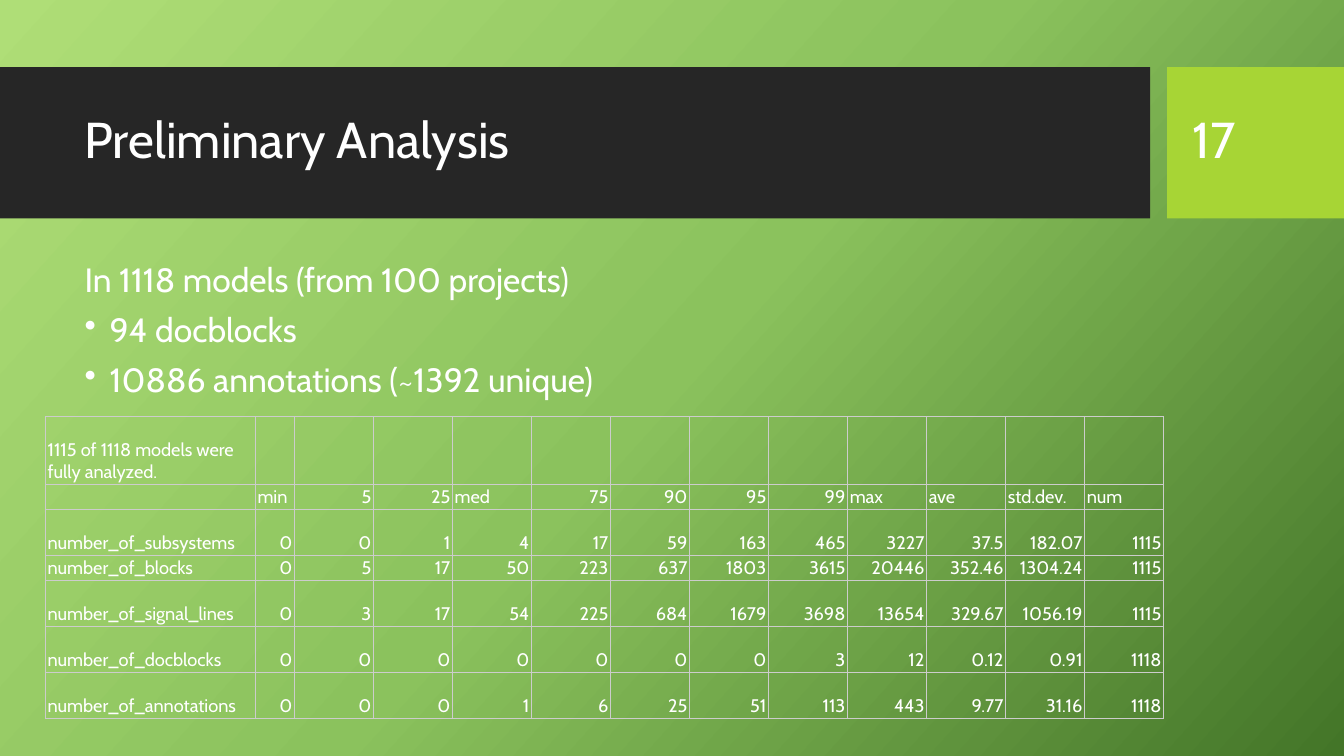
from lxml.etree import SubElement
from pptx import Presentation
from pptx.dml.color import RGBColor
from pptx.enum.shapes import MSO_SHAPE
from pptx.enum.text import MSO_ANCHOR, PP_ALIGN
from pptx.oxml.ns import qn
from pptx.util import Pt

FONT = "Cabin"
WHITE = "FFFFFF"
BODY = [
    ("In 1118 models (from 100 projects)", False),
    ("94 docblocks", True),
    ("10886 annotations (~1392 unique)", True),
]
COLUMN_WIDTHS = [150, 28] + [56.45] * 11
ROW_HEIGHTS = [48.5, 17.75, 33, 17.75, 33, 33, 33]
STATISTICS = [
    ["1115 of 1118 models were fully analyzed."] + [""] * 12,
    ["", "min", "5", "25", "med", "75", "90", "95", "99", "max", "ave", "std.dev.", "num"],
    ["number_of_subsystems", "0", "0", "1", "4", "17", "59", "163", "465", "3227", "37.5", "182.07", "1115"],
    ["number_of_blocks", "0", "5", "17", "50", "223", "637", "1803", "3615", "20446", "352.46", "1304.24", "1115"],
    ["number_of_signal_lines", "0", "3", "17", "54", "225", "684", "1679", "3698", "13654", "329.67", "1056.19", "1115"],
    ["number_of_docblocks", "0", "0", "0", "0", "0", "0", "0", "3", "12", "0.12", "0.91", "1118"],
    ["number_of_annotations", "0", "0", "0", "1", "6", "25", "51", "113", "443", "9.77", "31.16", "1118"],
]


def color(value):
    return RGBColor.from_string(value)


def style_font(font, size):
    font.name = FONT
    font.size = Pt(size)
    font.color.rgb = color(WHITE)


def paint_background(slide, stops, angle):
    fill = slide.background.fill
    fill.gradient()
    fill.gradient_angle = 360 - angle
    stop_list = slide.element.find(".//" + qn("a:gsLst"))
    for stop in list(stop_list):
        stop_list.remove(stop)
    for position, value in stops:
        stop = SubElement(stop_list, qn("a:gs"), pos=str(position * 1000))
        SubElement(stop, qn("a:srgbClr"), val=value)


def add_panel(slide, left, top, width, height, fill):
    shape = slide.shapes.add_shape(
        MSO_SHAPE.RECTANGLE, Pt(left), Pt(top), Pt(width), Pt(height))
    shape.shadow.inherit = False
    shape.fill.solid()
    shape.fill.fore_color.rgb = color(fill)
    shape.line.fill.background()


def add_text_frame(slide, left, top, width, height, anchor):
    box = slide.shapes.add_textbox(Pt(left), Pt(top), Pt(width), Pt(height))
    frame = box.text_frame
    frame.word_wrap = True
    frame.vertical_anchor = anchor
    return frame


def add_heading(slide, left, top, width, height, text):
    paragraph = add_text_frame(slide, left, top, width, height, MSO_ANCHOR.MIDDLE).paragraphs[0]
    paragraph.text = text
    paragraph.line_spacing = 0.9
    style_font(paragraph.font, 36)


def add_header(slide, left, top, height, title, number):
    add_panel(slide, left, top, 821.5, height, "262626")
    add_panel(slide, left + 833.75, top, 126.25, height, "A7D535")
    add_heading(slide, left + 53.3, top + 11, 756.7, 85, title)
    add_heading(slide, left + 844.5, top + 11, 90.7, 85.7, number)


def add_body(slide, left, top, width, height):
    frame = add_text_frame(slide, left, top, width, height, MSO_ANCHOR.TOP)
    for index, (text, bulleted) in enumerate(BODY):
        paragraph = frame.add_paragraph() if index else frame.paragraphs[0]
        paragraph.text = text
        paragraph.line_spacing = 0.9
        paragraph.space_before = Pt(10)
        if bulleted:
            properties = paragraph._p.get_or_add_pPr()
            properties.set("marL", str(Pt(18)))
            properties.set("indent", str(Pt(-18)))
            SubElement(properties, qn("a:buChar"), char="•")
        style_font(paragraph.font, 24)


def add_borders(cell, value, width):
    properties = cell._tc.get_or_add_tcPr()
    for index, side in enumerate(("a:lnL", "a:lnR", "a:lnT", "a:lnB")):
        line = properties.makeelement(qn(side), {"w": str(Pt(width))})
        properties.insert(index, line)
        SubElement(SubElement(line, qn("a:solidFill")), qn("a:srgbClr"), val=value)


def fill_cell(cell, text, is_label):
    cell.fill.background()
    cell.vertical_anchor = MSO_ANCHOR.BOTTOM
    cell.margin_left = cell.margin_right = Pt(1.6)
    cell.margin_top = cell.margin_bottom = Pt(1)
    add_borders(cell, "CCCCCC", 0.75)
    paragraph = cell.text_frame.paragraphs[0]
    paragraph.text = text
    style_font(paragraph.font, 13)
    if not text:
        paragraph._p.get_or_add_endParaRPr().set("sz", "1300")
    if text[:1].isdigit() and not is_label:
        paragraph.alignment = PP_ALIGN.RIGHT


def add_statistics(slide, left, top):
    table = slide.shapes.add_table(
        len(ROW_HEIGHTS), len(COLUMN_WIDTHS), Pt(left), Pt(top),
        Pt(sum(COLUMN_WIDTHS)), Pt(sum(ROW_HEIGHTS))).table
    table.first_row = table.horz_banding = False
    for column, width in zip(table.columns, COLUMN_WIDTHS):
        column.width = Pt(width)
    for row, height, values in zip(table.rows, ROW_HEIGHTS, STATISTICS):
        row.height = Pt(height)
        for index, (cell, text) in enumerate(zip(row.cells, values)):
            fill_cell(cell, text, index == 0)


def main():
    presentation = Presentation()
    presentation.slide_width = Pt(960)
    presentation.slide_height = Pt(540)
    slide = presentation.slides.add_slide(presentation.slide_layouts[6])
    paint_background(slide, [(0, "AFDE77"), (50, "8BC25D"), (100, "437528")], 42)
    add_header(slide, 0, 48, 108, "Preliminary Analysis", "17")
    add_body(slide, 53.3, 184.3, 756.7, 283.7)
    add_statistics(slide, 32.4, 297.4)
    presentation.save("out.pptx")


if __name__ == "__main__":
    main()
